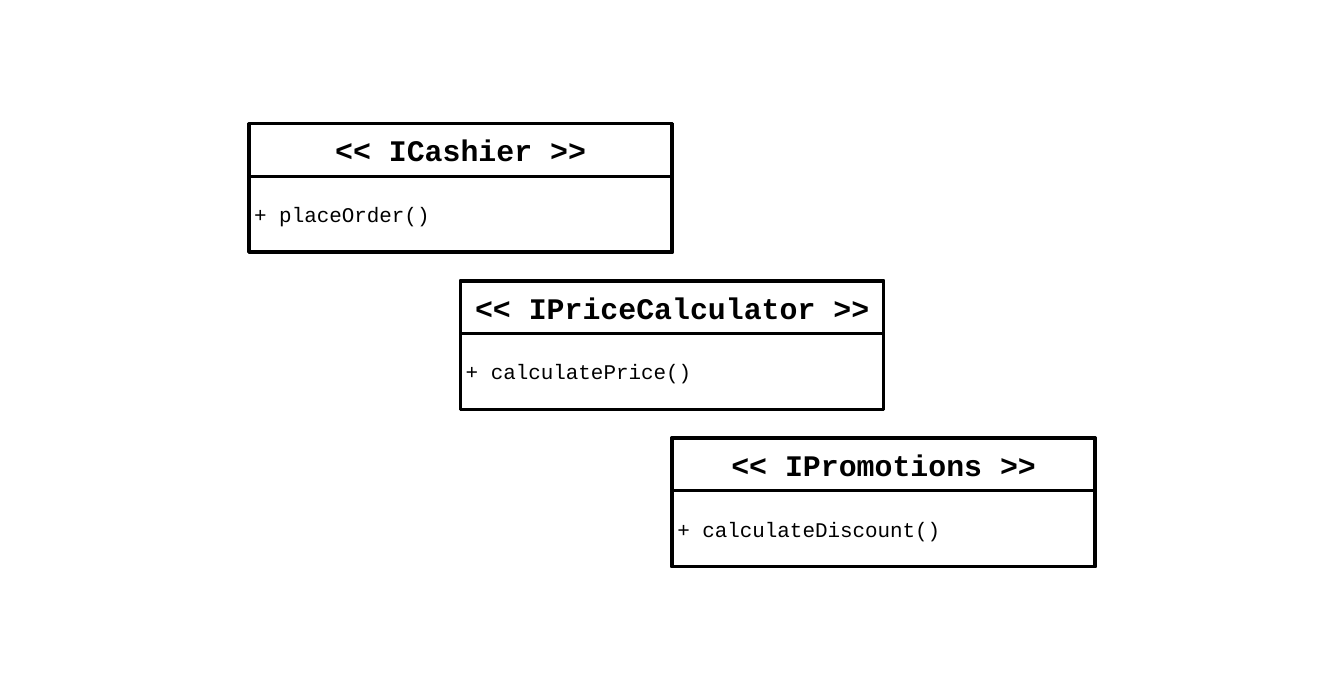
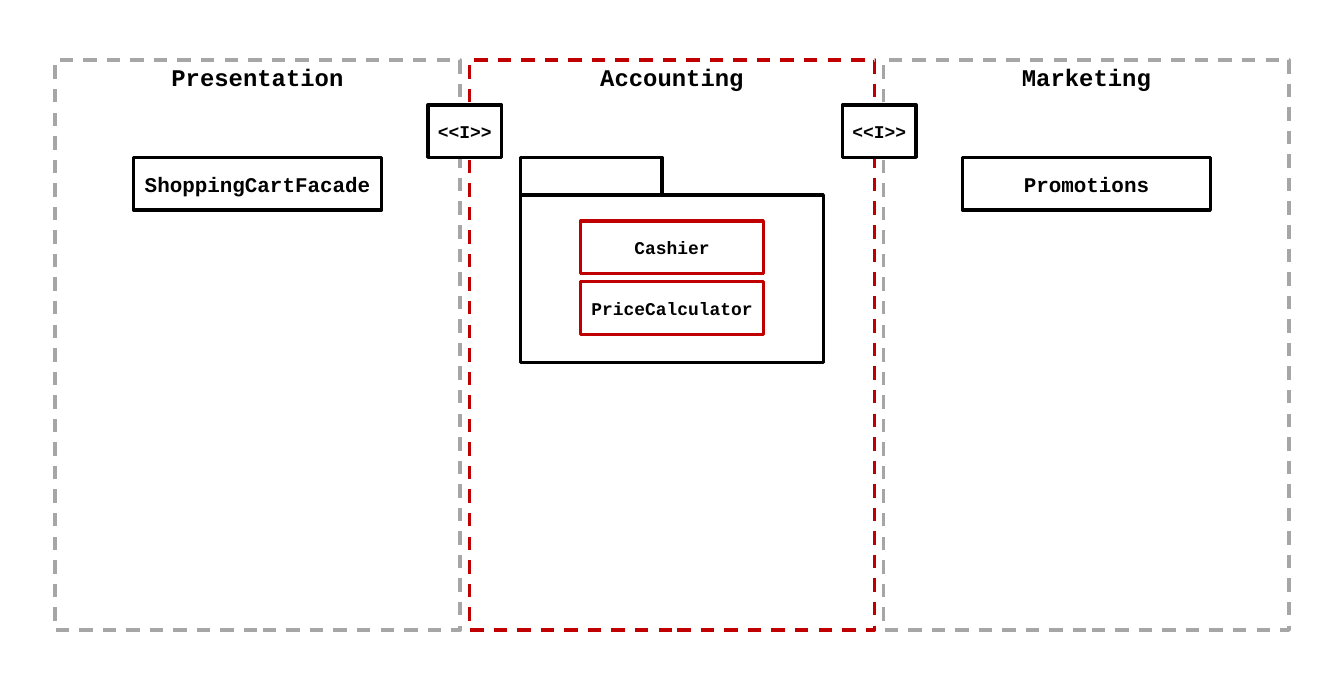
"""Build two UML slides: the service interfaces and the bounded contexts that hold them."""
from dataclasses import dataclass
from typing import Any

from pptx import Presentation
from pptx import util as u
from pptx.dml.color import RGBColor
from pptx.enum import dml, shapes, text

COLORS = {"ink": "000000", "paper": "FFFFFF", "focus": "C00000", "muted": "A6A6A6"}
FONT = "Courier New"
BORDER = 4.5
SLIDE_WIDTH, SLIDE_HEIGHT = 1800, 924
MIDDLE = SLIDE_WIDTH / 2

CARD_WIDTH, CARD_HEIGHT = 566.6, 172
CARD_TOP, CARD_STEP = 165.6, 210.6
BOX_HEIGHT = 70.4

CONTEXT_TOP, CONTEXT_WIDTH, CONTEXT_HEIGHT = 80.6, 542.9, 763.2
CONTEXT_STEP = 555.1
PORT_TOP = 140.4
CLASS_TOP = 211
CLASS_WIDTH, MEMBER_WIDTH, PORT_WIDTH = 332, 244.8, 98.6
MEMBER_TOP, MEMBER_STEP = 295.9, 81.4
FOLDER_WIDTH, FOLDER_HEIGHT = 405.4, 224.6
TAB_WIDTH, TAB_HEIGHT = 189.4, 50


@dataclass(frozen=True)
class Box:
    left: float
    top: float
    width: float
    height: float = BOX_HEIGHT
    label: str = ""
    size: float = 28
    line: str = "ink"
    filled: bool = True
    dashed: bool = False
    bold: bool = True
    align: Any = text.PP_ALIGN.CENTER
    anchor: Any = text.MSO_ANCHOR.MIDDLE


@dataclass(frozen=True)
class Interface:
    name: str
    method: str


@dataclass(frozen=True)
class Context:
    name: str
    line: str
    service: str = ""


INTERFACES = [
    Interface("ICashier", "placeOrder"),
    Interface("IPriceCalculator", "calculatePrice"),
    Interface("IPromotions", "calculateDiscount"),
]
CONTEXTS = [
    Context("Presentation", "muted", "ShoppingCartFacade"),
    Context("Accounting", "focus"),
    Context("Marketing", "muted", "Promotions"),
]
MEMBERS = ["Cashier", "PriceCalculator"]


def color(name: str) -> RGBColor:
    """Return the named palette colour."""
    return RGBColor.from_string(COLORS[name])


def apply(target: Any, values: dict[str, Any]) -> None:
    """Set every attribute in values on the target."""
    for attribute, value in values.items():
        setattr(target, attribute, value)


def draw_box(canvas: Any, box: Box) -> None:
    """Draw a bordered rectangle with its label."""
    bounds = (u.Pt(n) for n in (box.left, box.top, box.width, box.height))
    rectangle = canvas.add_shape(shapes.MSO_SHAPE.RECTANGLE, *bounds)
    rectangle.shadow.inherit = False
    if box.filled:
        rectangle.fill.solid()
        rectangle.fill.fore_color.rgb = color("paper")
    else:
        rectangle.fill.background()
    rectangle.line.color.rgb = color(box.line)
    rectangle.line.width = u.Pt(BORDER)
    if box.dashed:
        rectangle.line.dash_style = dml.MSO_LINE.DASH
    if box.label:
        frame = rectangle.text_frame
        apply(frame, {"word_wrap": True, "vertical_anchor": box.anchor})
        label = frame.paragraphs[0]
        label.alignment = box.align
        run = label.add_run()
        run.text = box.label
        apply(run.font, {"name": FONT, "size": u.Pt(box.size), "bold": box.bold})
        run.font.color.rgb = color("ink")


def centered(center: float, top: float, width: float, **details: Any) -> Box:
    """Return a box centred horizontally on the given position."""
    return Box(center - width / 2, top, width, **details)


def draw_interface(slide: Any, interface: Interface, index: int) -> None:
    """Draw one interface card as a group, stepping down and right."""
    left = MIDDLE + (index - 2) * CARD_WIDTH / 2
    top = CARD_TOP + index * CARD_STEP
    card = slide.shapes.add_group_shape().shapes
    draw_box(card, Box(left, top, CARD_WIDTH, CARD_HEIGHT))
    draw_box(card, Box(left, top, CARD_WIDTH, label=f"<< {interface.name} >>", size=40))
    draw_box(card, Box(left, top + BOX_HEIGHT, CARD_WIDTH, CARD_HEIGHT - BOX_HEIGHT,
                       f"+ {interface.method}()", bold=False, align=text.PP_ALIGN.LEFT))


def draw_folder(slide: Any) -> None:
    """Draw the package outline around the accounting classes."""
    left = MIDDLE - FOLDER_WIDTH / 2
    folder = slide.shapes.add_group_shape().shapes
    draw_box(folder, Box(left, CLASS_TOP + TAB_HEIGHT, FOLDER_WIDTH, FOLDER_HEIGHT, filled=False))
    draw_box(folder, Box(left, CLASS_TOP, TAB_WIDTH, TAB_HEIGHT, filled=False))


def draw_contexts(slide: Any) -> None:
    """Draw the contexts, their classes and the interfaces between them."""
    centers = [MIDDLE + (index - 1) * CONTEXT_STEP for index in range(len(CONTEXTS))]
    services = [centered(center, CLASS_TOP, CLASS_WIDTH, label=context.service)
                for center, context in zip(centers, CONTEXTS) if context.service]
    members = [centered(MIDDLE, MEMBER_TOP + index * MEMBER_STEP, MEMBER_WIDTH,
                        label=name, size=24, line="focus")
               for index, name in enumerate(MEMBERS)]
    areas = [centered(center, CONTEXT_TOP, CONTEXT_WIDTH, height=CONTEXT_HEIGHT,
                      label=context.name, size=32, line=context.line, filled=False,
                      dashed=True, anchor=text.MSO_ANCHOR.TOP)
             for center, context in zip(centers, CONTEXTS)]
    ports = [centered(center + CONTEXT_STEP / 2, PORT_TOP, PORT_WIDTH, label="<<I>>", size=24)
             for center in centers[:-1]]
    for box in services + members + areas + ports:
        draw_box(slide.shapes, box)
    draw_folder(slide)


def main() -> None:
    """Create and save the presentation."""
    deck = Presentation()
    apply(deck, {"slide_width": u.Pt(SLIDE_WIDTH), "slide_height": u.Pt(SLIDE_HEIGHT)})
    blank = deck.slide_layouts[6]
    interfaces = deck.slides.add_slide(blank)
    for index, interface in enumerate(INTERFACES):
        draw_interface(interfaces, interface, index)
    draw_contexts(deck.slides.add_slide(blank))
    deck.save("out.pptx")


if __name__ == "__main__":
    main()
